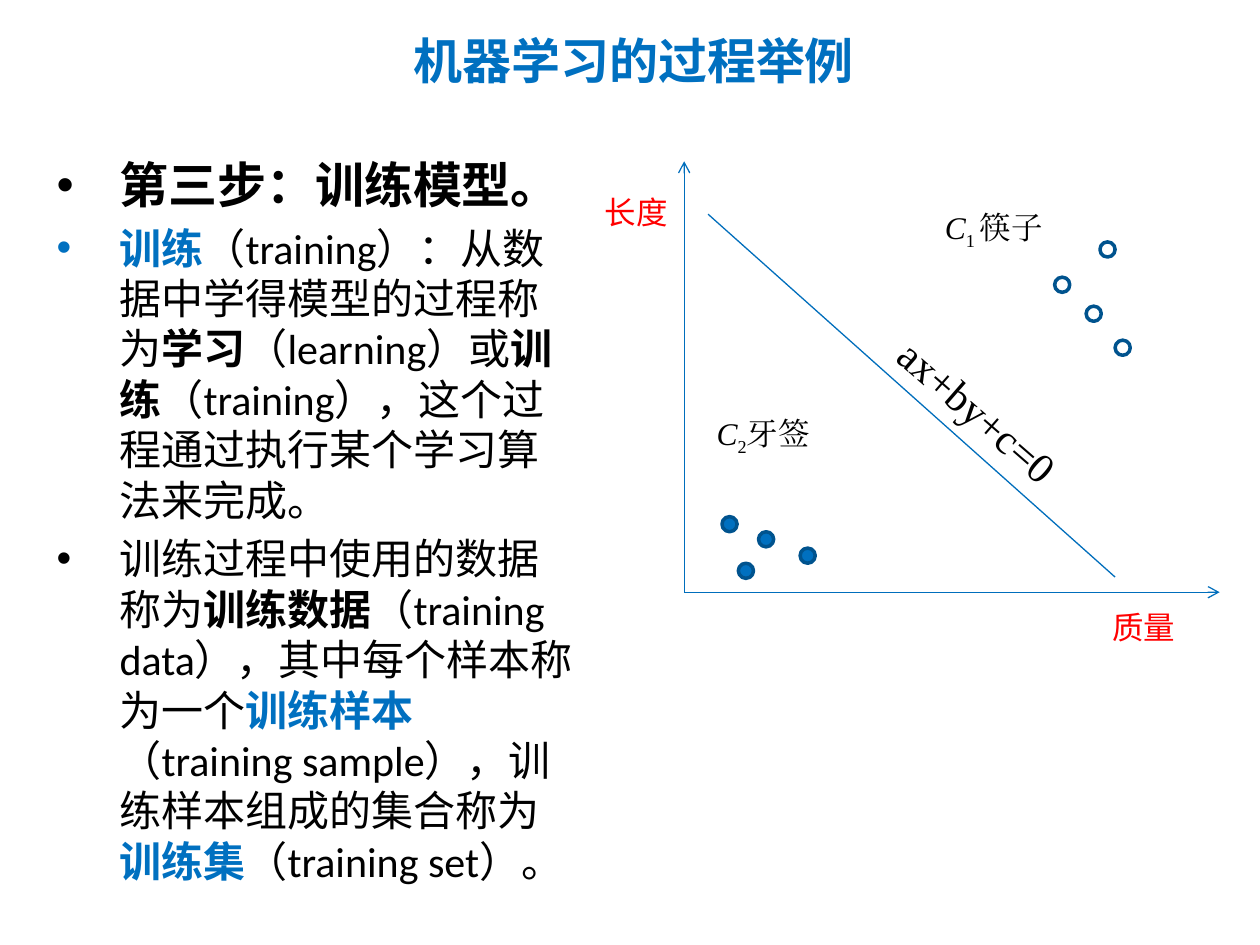
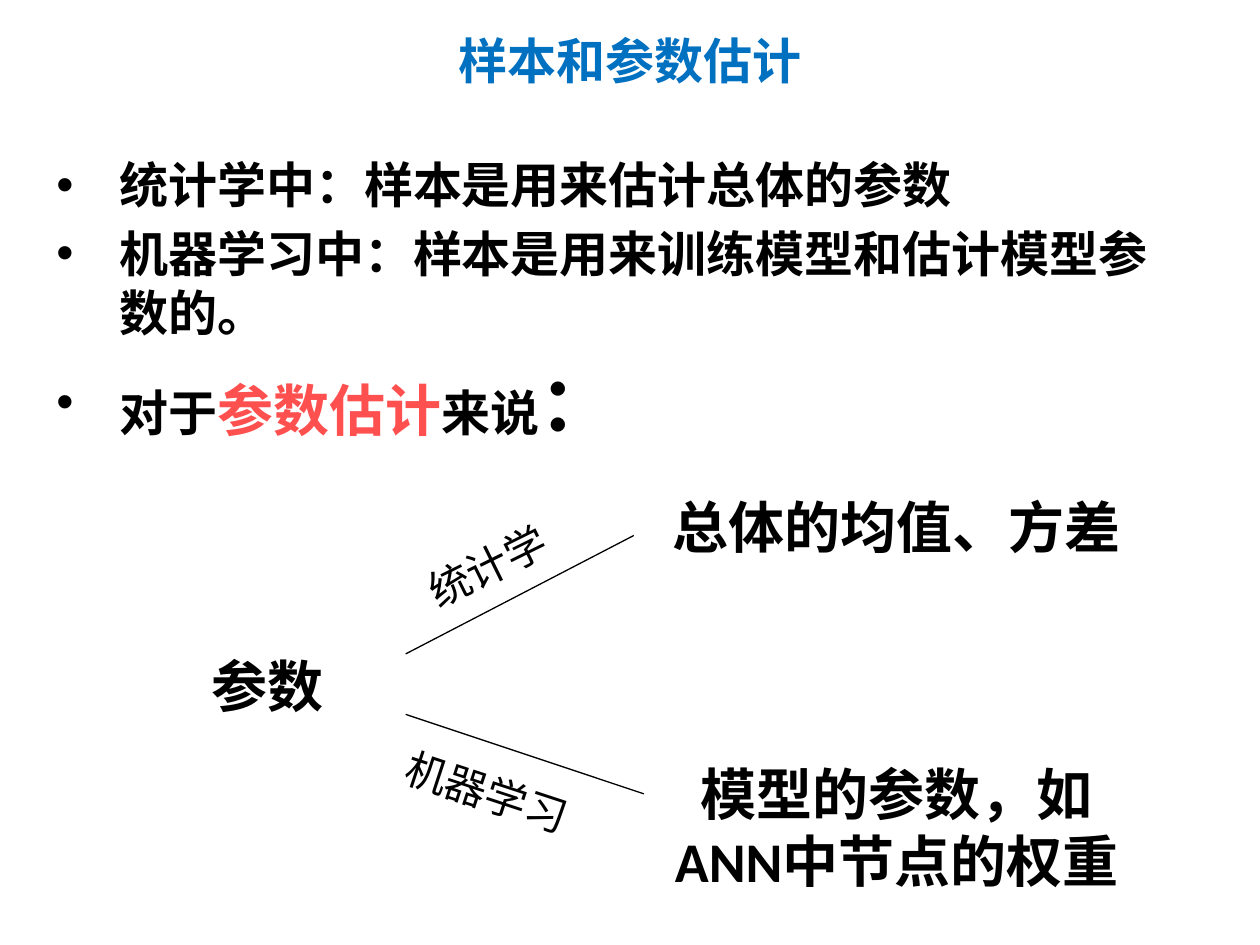
from dataclasses import dataclass

from lxml.etree import SubElement
from pptx import Presentation
from pptx.dml.color import RGBColor
from pptx.enum.shapes import MSO_CONNECTOR, MSO_SHAPE
from pptx.enum.text import MSO_ANCHOR, PP_ALIGN as Align
from pptx.oxml.ns import qn
from pptx.util import Inches, Pt


@dataclass(frozen=True)
class Theme:
    """Colours, fonts and type sizes shared by the slides."""
    blue: str = "0070C0"
    axis: str = "006EBC"
    rim: str = "00538E"
    red: str = "FF0000"
    coral: str = "FF5050"
    black: str = "000000"
    body_font: str = "Calibri"
    title_font: str = "Noto Sans CJK SC"
    math_font: str = "Times New Roman"
    heading: int = 28
    text: int = 24
    label: int = 18
    node: int = 32
    colon: int = 43
    hairline: float = 0.75
    dot_rim: float = 2


@dataclass(frozen=True)
class Box:
    """A region in inches."""
    left: float
    top: float
    width: float
    height: float

    def inside(self, x, y, width, height):
        """Return a box offset from this one's top left corner."""
        return Box(self.left + x, self.top + y, width, height)

    def lengths(self):
        """Return left, top, width and height as lengths."""
        return [Inches(v) for v in (self.left, self.top, self.width, self.height)]


THEME = Theme()
PLAIN = {"size": THEME.text, "name": THEME.body_font, "color": THEME.black}
STRONG = PLAIN | {"bold": True}
KEY = STRONG | {"color": THEME.blue}
HEAD = STRONG | {"size": THEME.heading}
NODE = STRONG | {"size": THEME.node}
TITLE = HEAD | {"name": THEME.title_font, "color": THEME.blue}
AXIS_NAME = PLAIN | {"size": THEME.label, "color": THEME.red}
EQUATION = PLAIN | {"name": THEME.math_font}
CLASS_NAME = EQUATION | {"size": THEME.label}
SYMBOL = CLASS_NAME | {"italic": True}


def rgb(value):
    """Turn a hex string into a colour."""
    return RGBColor.from_string(value)


def add_run(paragraph, text, style, baseline=None):
    """Append one run formatted from a dict of font values."""
    run = paragraph.add_run()
    run.text = text
    for key, value in style.items():
        if key == "color":
            run.font.color.rgb = rgb(value)
        else:
            setattr(run.font, key, Pt(value) if key == "size" else value)
    properties = run.font._element
    SubElement(properties, qn("a:ea")).set("typeface", style["name"])
    if baseline:
        properties.set("baseline", str(baseline))


def add_text(slide, box, runs, align=Align.LEFT, rotation=0, wrap=True):
    """Add a one-paragraph text box."""
    label = slide.shapes.add_textbox(*box.lengths())
    label.rotation = rotation
    label.text_frame.word_wrap = wrap
    paragraph = label.text_frame.paragraphs[0]
    paragraph.alignment = align
    for run in runs:
        add_run(paragraph, *run)


def add_line(slide, start, end, color, arrow=False):
    """Draw a thin straight line, with an open arrowhead if asked."""
    line = slide.shapes.add_connector(
        MSO_CONNECTOR.STRAIGHT, *(Inches(v) for v in (*start, *end)))
    line.line.color.rgb = rgb(color)
    line.line.width = Pt(THEME.hairline)
    properties = line._element.spPr
    if arrow:
        SubElement(properties.find(qn("a:ln")), qn("a:tailEnd")).set("type", "arrow")
    SubElement(properties, qn("a:effectLst"))


def add_titled_slide(deck, text, box):
    """Add a title-only slide and format its title."""
    slide = deck.slides.add_slide(deck.slide_layouts[5])
    title = slide.shapes.title
    title.left, title.top, title.width, title.height = box.lengths()
    title.text_frame.vertical_anchor = MSO_ANCHOR.TOP
    paragraph = title.text_frame.paragraphs[0]
    paragraph.alignment = Align.CENTER
    add_run(paragraph, text, TITLE)
    return slide


def add_bullets(slide, box, items):
    """Add a bulleted list whose items are lists of runs."""
    frame = slide.shapes.add_textbox(*box.lengths()).text_frame
    frame.word_wrap = True
    for index, runs in enumerate(items):
        paragraph = frame.add_paragraph() if index else frame.paragraphs[0]
        properties = paragraph._p.get_or_add_pPr()
        properties.set("marL", str(Inches(0.5)))
        properties.set("indent", str(-Inches(0.5)))
        SubElement(properties, qn("a:buFont")).set("typeface", "Arial")
        SubElement(properties, qn("a:buChar")).set("char", "•")
        if index:
            paragraph.space_before = Pt(0.2 * max(style["size"] for _, style in runs))
        for run in runs:
            add_run(paragraph, *run)


def add_dots(slide, box, centres, filled):
    """Add sample dots at offsets within the plot."""
    for x, y in centres:
        dot = slide.shapes.add_shape(
            MSO_SHAPE.OVAL, *box.inside(x, y, 0.12, 0.12).lengths())
        dot.shadow.inherit = False
        if filled:
            dot.fill.solid()
            dot.fill.fore_color.rgb = rgb(THEME.blue)
        else:
            dot.fill.background()
        dot.line.color.rgb = rgb(THEME.rim)
        dot.line.width = Pt(THEME.dot_rim)


def add_scatter(slide, box):
    """Draw the axes, both sample classes and the line between them."""
    origin = (box.left, box.top + box.height)
    for end in ((box.left + box.width, origin[1]), (box.left, box.top)):
        add_line(slide, origin, end, THEME.axis, arrow=True)
    toothpicks = [(0.3, 2.82), (0.92, 3.07), (0.59, 2.94), (0.43, 3.19)]
    chopsticks = [(2.94, 0.92), (3.3, 0.64), (3.19, 1.15), (3.42, 1.42)]
    add_dots(slide, box, toothpicks, filled=True)
    add_dots(slide, box, chopsticks, filled=False)
    add_line(slide, (box.left + 0.19, box.top + 0.42),
             (box.left + 3.42, box.top + 3.3), THEME.axis)
    add_text(slide, box.inside(3.3, 3.5, 0.8, 0.4), [("质量", AXIS_NAME)])
    add_text(slide, box.inside(-0.73, 0.2, 1.09, 0.4), [("长度", AXIS_NAME)])
    add_text(slide, box.inside(1.42, 1.86, 2.12, 0.5),
             [("ax+by+c=0", EQUATION)], rotation=41)
    for place, number, name in (((1.97, 0.32, 1.22, 0.31), "1 ", "筷子"),
                                ((0.16, 1.96, 1.53, 0.49), "2", "牙签")):
        add_text(slide, box.inside(*place),
                 [("C", SYMBOL), (number, CLASS_NAME, -25000), (name, CLASS_NAME)],
                 align=Align.JUSTIFY)


def add_branches(slide, box):
    """Draw the parameter tree with its two labelled branches."""
    nodes = [("参数", (0, 1.26, 2.21, 0.64)),
             ("总体的均值、方差", (4.17, 0, 3.86, 0.64)),
             ("模型的参数，如ANN中节点的权重", (4.17, 2.12, 3.86, 1.18))]
    for text, place in nodes:
        add_text(slide, box.inside(*place), [(text, NODE)], align=Align.CENTER)
    branches = [("统计学", (2.25, 0.38, 1.21, 0.5), 333.7, 1.33, (4.01, 0.39)),
                ("机器学习", (2.08, 2.18, 1.55, 0.5), 18.3, 1.81, (4.09, 2.44))]
    for text, place, angle, start, (x, y) in branches:
        add_line(slide, (box.left + 2.2, box.top + start),
                 (box.left + x, box.top + y), THEME.black)
        add_text(slide, box.inside(*place), [(text, PLAIN)], rotation=angle, wrap=False)


def build_training_slide(deck):
    """Build the slide on training a model."""
    slide = add_titled_slide(deck, "机器学习的过程举例", Box(0.03, 0.19, 10, 0.57))
    add_bullets(slide, Box(0.35, 1.18, 4.31, 6.1), [
        [("第三步：训练模型。", HEAD)],
        [("训练", KEY), ("（training）：从数据中学得模型的过程称为", PLAIN),
         ("学习", STRONG), ("（learning）或", PLAIN), ("训练", STRONG),
         ("（training），这个过程通过执行某个学习算法来完成。", PLAIN)],
        [("训练过程中使用的数据称为", PLAIN), ("训练数据", STRONG),
         ("（training data），其中每个样本称为一个", PLAIN), ("训练样本", KEY),
         ("（training sample），训练样本组成的集合称为", PLAIN),
         ("训练集", KEY), ("（training set）。", PLAIN)],
    ])
    add_scatter(slide, Box(5.43, 1.28, 4.25, 3.42))


def build_estimation_slide(deck):
    """Build the slide on samples and parameter estimation."""
    slide = add_titled_slide(deck, "样本和参数估计", Box(0, 0.19, 10, 0.57))
    add_bullets(slide, Box(0.35, 1.18, 9.14, 5.68), [
        [("统计学中：样本是用来估计总体的参数", HEAD)],
        [("机器学习中：样本是用来训练模型和估计模型参数的。", HEAD)],
        [("对于", HEAD), ("参数估计", NODE | {"color": THEME.coral}),
         ("来说", HEAD), ("：", HEAD | {"size": THEME.colon})],
    ])
    add_branches(slide, Box(1.02, 3.86, 8.03, 3.3))


def main():
    """Build and save the deck."""
    deck = Presentation()
    deck.slide_width, deck.slide_height = Inches(10), Inches(7.5)
    build_training_slide(deck)
    build_estimation_slide(deck)
    deck.save("out.pptx")


if __name__ == "__main__":
    main()
